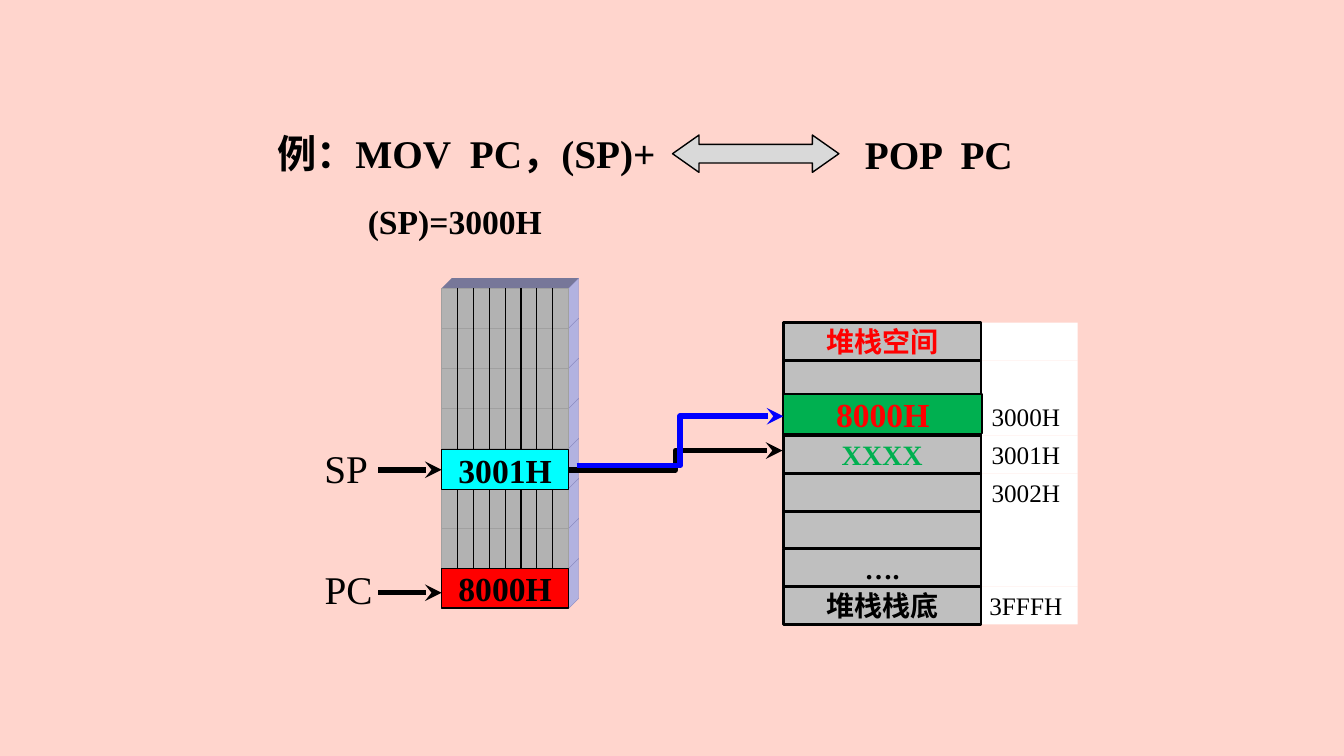
from dataclasses import dataclass
from lxml.etree import SubElement
from pptx import Presentation
from pptx.dml.color import RGBColor
from pptx.enum.shapes import MSO_CONNECTOR, MSO_SHAPE
from pptx.enum.text import MSO_ANCHOR, MSO_AUTO_SIZE, PP_ALIGN
from pptx.oxml.ns import qn
from pptx.util import Inches, Pt


@dataclass(frozen=True)
class Theme:
    """Colours, type sizes and the typeface of the slide."""
    background: str = "FFD5CD"
    black: str = "000000"
    white: str = "FFFFFF"
    red: str = "FF0000"
    green: str = "00B050"
    blue: str = "0000FF"
    cyan: str = "00FFFF"
    arrow: str = "D9D9D9"
    memory: str = "BFBFBF"
    front: str = "B2B2B2"
    seam: str = "A0A0A0"
    side: str = "B2B2E0"
    side_seam: str = "8888C0"
    top: str = "777799"
    font: str = "Times New Roman"
    title: int = 28
    value: int = 24
    cell: int = 20
    address: int = 18


class Diagram:
    """Draws text, boxes, outlines and lines on one slide."""

    def __init__(self, prs, theme):
        self.theme = theme
        self.s = prs.slides.add_slide(prs.slide_layouts[6])
        fill = self.s.background.fill
        fill.solid()
        fill.fore_color.rgb = RGBColor.from_string(theme.background)

    def set_text(self, tf, text, size, color, bold, **frame):
        for name, value in frame.items():
            setattr(tf, name, value)
        r = tf.paragraphs[0].add_run()
        r.text = text
        style = {"name": self.theme.font, "size": Pt(size), "bold": bold}
        for name, value in style.items():
            setattr(r.font, name, value)
        r.font.color.rgb = RGBColor.from_string(color)

    def paint(self, sp, fill, line, width):
        sp.shadow.inherit = False
        sp.fill.solid()
        sp.fill.fore_color.rgb = RGBColor.from_string(fill)
        if line:
            sp.line.color.rgb = RGBColor.from_string(line)
            sp.line.width = Pt(width)
        else:
            sp.line.fill.background()
        return sp

    def text(self, x, y, w, h, text, size, bold=True, wrap=False):
        tf = self.s.shapes.add_textbox(*map(Inches, (x, y, w, h))).text_frame
        self.set_text(tf, text, size, self.theme.black, bold, word_wrap=wrap,
                      auto_size=MSO_AUTO_SIZE.SHAPE_TO_FIT_TEXT)

    def box(self, x, y, w, h, fill, line=None, width=1, text="",
            size=Theme.cell, color=Theme.black, bold=True, wrap=True,
            kind=MSO_SHAPE.RECTANGLE):
        sp = self.s.shapes.add_shape(kind, *map(Inches, (x, y, w, h)))
        self.paint(sp, fill, line, width)
        if text:
            self.set_text(sp.text_frame, text, size, color, bold,
                          word_wrap=wrap, vertical_anchor=MSO_ANCHOR.MIDDLE)
            sp.text_frame.paragraphs[0].alignment = PP_ALIGN.CENTER
        return sp

    def outline(self, points, fill, line=None, width=0.25):
        start, *rest = [(Inches(x), Inches(y)) for x, y in points]
        builder = self.s.shapes.build_freeform(*start)
        builder.add_line_segments(rest, close=True)
        self.paint(builder.convert_to_shape(), fill, line, width)

    def line(self, start, end, color=Theme.black, width=4, head=True,
             kind=MSO_CONNECTOR.STRAIGHT):
        c = self.s.shapes.add_connector(kind, *map(Inches, start + end))
        c.line.color.rgb = RGBColor.from_string(color)
        c.line.width = Pt(width)
        if head:
            ln = c._element.spPr.find(qn("a:ln"))
            SubElement(ln, qn("a:tailEnd"), type="stealth")
        SubElement(c._element.spPr, qn("a:effectLst"))
        return c

    def registers(self, x, y, w, pitch, rows, bits, depth):
        """Draw the stacked registers as blocks with bit dividers."""
        t = self.theme
        right = x + w
        self.outline([(x, y), (x + depth, y - depth),
                      (right + depth, y - depth), (right, y)], t.top)
        for row in range(rows):
            top = y + row * pitch
            bottom = top + pitch
            self.outline([(right, top), (right + depth, top - depth),
                          (right + depth, bottom - depth), (right, bottom)],
                         t.side, t.side_seam)
            cell = self.box(x, top, w, pitch, t.front, t.seam, 0.25)
            for bit in range(1, bits):
                bx = x + bit * w / bits
                c = self.line((bx, top), (bx, bottom), t.black, 0.75, False)
                if bit * 2 == bits:
                    c.begin_connect(cell, 0)
                    c.end_connect(cell, 2)

    def memory(self, y, pitch, rows):
        """Draw the stack memory with its address column."""
        t = self.theme
        for i, (_, _, address) in enumerate(rows):
            self.box(9.66, y + i * pitch, 1.03, pitch, t.white,
                     text=address, size=t.address, bold=False)
        for i, (content, color, _) in enumerate(rows):
            self.box(7.77, y + i * pitch, 1.96, pitch, t.memory, t.black, 2,
                     content, t.cell, color)


def main():
    """Build and save the slide."""
    prs = Presentation()
    prs.slide_width, prs.slide_height = Inches(13.33), Inches(7.5)
    t = Theme()
    d = Diagram(prs, t)

    d.text(2.65, 1.23, 4.65, 0.57, "例：MOV  PC，(SP)+", t.title, wrap=True)
    d.text(8.48, 1.24, 1.89, 0.57, "POP  PC", t.title, wrap=True)
    arrow = d.box(6.67, 1.34, 1.65, 0.37, t.arrow, t.black,
                  kind=MSO_SHAPE.LEFT_RIGHT_ARROW)
    arrow.adjustments[0], arrow.adjustments[1] = 0.5, 0.71
    d.text(3.55, 1.94, 1.94, 0.5, "(SP)=3000H", t.value)

    pitch = (5.64 - 2.86) / 7
    d.registers(4.38, 2.86, 1.26, pitch, rows=8, bits=8, depth=0.1)
    d.memory(3.2, (5.82 - 3.2) / 7, [
        ("堆栈空间", t.red, ""),
        ("", t.black, ""),
        ("", t.black, "3000H"),
        ("XXXX", t.green, "3001H"),
        ("", t.black, "3002H"),
        ("", t.black, ""),
        ("….", t.black, ""),
        ("堆栈栈底", t.black, "3FFFH"),
    ])

    d.line((5.64, 4.66), (7.76, 4.47), kind=MSO_CONNECTOR.ELBOW)
    d.line((5.72, 4.62), (7.77, 4.13), t.blue, kind=MSO_CONNECTOR.ELBOW)
    value = {"line": t.black, "size": t.value, "wrap": False}
    d.box(4.38, 5.64, 1.26, 0.39, t.red, text="8000H", **value)
    sp_value = d.box(4.38, 4.46, 1.26, 0.4, t.cyan, text="3001H", **value)
    d.box(7.77, 3.91, 1.97, 0.39, t.green, text="8000H", color=t.red, **value)

    d.text(3.12, 4.36, 0.64, 0.57, "SP", t.title, bold=False)
    d.line((3.75, 4.66), (4.38, 4.66)).end_connect(sp_value, 1)
    d.text(3.12, 5.56, 0.68, 0.57, "PC", t.title, bold=False)
    d.line((3.75, 5.88), (4.38, 5.88))
    prs.save("out.pptx")


if __name__ == "__main__":
    main()
